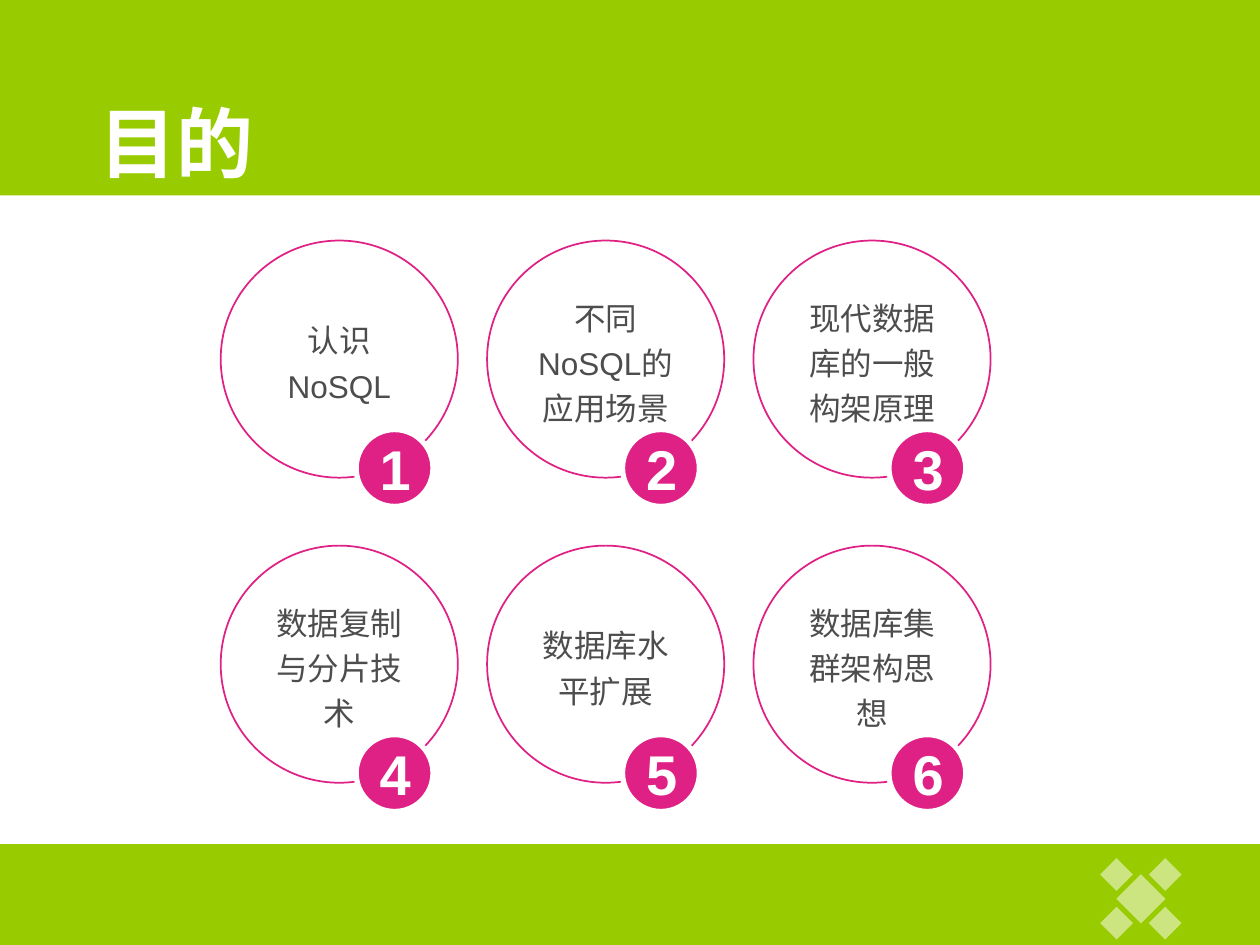
import dataclasses

import lxml.etree
import pptx
import pptx.dml.color
import pptx.enum.shapes
import pptx.enum.text
import pptx.oxml.ns
import pptx.util

Cm = pptx.util.Cm
RGBColor = pptx.dml.color.RGBColor
Kind = pptx.enum.shapes.MSO_SHAPE

GREEN = RGBColor(0x99, 0xCC, 0x00)
PINK = RGBColor(0xDF, 0x21, 0x85)
GREY = RGBColor(0x4D, 0x4D, 0x4D)
WHITE = RGBColor(0xFF, 0xFF, 0xFF)
FONT = "Arial"

SLIDE_WIDTH, SLIDE_HEIGHT = 25.4, 19.05
COLUMNS = 3
GOALS_LEFT, GOALS_TOP = 4.45, 4.85
COLUMN_STEP, ROW_STEP = 5.37, 6.15
CIRCLE_SIZE, BADGE_SIZE = 4.78, 1.55
BADGE_DX, BADGE_DY = 2.73, 3.81
EMBLEM_X, EMBLEM_Y, EMBLEM_STEP = 23.0, 18.12, 0.49


@dataclasses.dataclass(frozen=True)
class Area:
    left: float
    top: float
    width: float
    height: float

    def lengths(self) -> tuple:
        return Cm(self.left), Cm(self.top), Cm(self.width), Cm(self.height)


@dataclasses.dataclass(frozen=True)
class Style:
    size: int
    color: RGBColor
    bold: bool = False
    spacing: float = 1.0


TITLE_STYLE = Style(44, WHITE, bold=True)
GOAL_STYLE = Style(18, GREY, spacing=1.2)
BADGE_STYLE = Style(32, WHITE, bold=True)

BANDS = [Area(0, 0, SLIDE_WIDTH, 3.94), Area(0, 17.02, SLIDE_WIDTH, 2.03)]
GOALS = [
    "认识NoSQL",
    "不同NoSQL的应用场景",
    "现代数据库的一般构架原理",
    "数据复制与分片技术",
    "数据库水平扩展",
    "数据库集群架构思想",
]


def add_shape(slide, kind, area: Area, fill=None, line=None, line_width: float = 1):
    shape = slide.shapes.add_shape(kind, *area.lengths())
    shape.shadow.inherit = False
    if fill is None:
        shape.fill.background()
    else:
        shape.fill.solid()
        shape.fill.fore_color.rgb = fill
    if line is None:
        shape.line.fill.background()
    else:
        shape.line.color.rgb = line
        shape.line.width = pptx.util.Pt(line_width)
    return shape


def write_text(shape, text: str, style: Style, alignment) -> None:
    box = shape.text_frame
    box.word_wrap = True
    box.auto_size = pptx.enum.text.MSO_AUTO_SIZE.NONE
    box.vertical_anchor = pptx.enum.text.MSO_ANCHOR.MIDDLE
    para = box.paragraphs[0]
    para.alignment = alignment
    para.line_spacing = style.spacing
    span = para.add_run()
    span.text = text
    span.font.name = FONT
    span.font.size = pptx.util.Pt(style.size)
    span.font.bold = style.bold
    span.font.color.rgb = style.color


def add_emblem_diamond(slide, center_x: float, center_y: float, size: float) -> None:
    area = Area(center_x - size / 2, center_y - size / 2, size, size)
    diamond = add_shape(slide, Kind.DIAMOND, area, fill=WHITE)
    qn = pptx.oxml.ns.qn
    color = diamond.element.spPr.find(qn("a:solidFill")).find(qn("a:srgbClr"))
    lxml.etree.SubElement(color, qn("a:alpha"), val="50000")


def add_emblem(slide) -> None:
    add_emblem_diamond(slide, EMBLEM_X, EMBLEM_Y, 0.99)
    for row in (1, -1):
        for column in (-1, 1):
            add_emblem_diamond(
                slide, EMBLEM_X + column * EMBLEM_STEP, EMBLEM_Y + row * EMBLEM_STEP, 0.66
            )


def add_title(slide, text: str) -> None:
    title = slide.shapes.title
    title.left, title.top, title.width, title.height = Area(1.75, 1.02, 21.92, 3.68).lengths()
    write_text(title, text, TITLE_STYLE, pptx.enum.text.PP_ALIGN.LEFT)
    title.element.getparent().append(title.element)


def add_goal(slide, index: int, text: str) -> None:
    row, column = divmod(index, COLUMNS)
    left = GOALS_LEFT + column * COLUMN_STEP
    top = GOALS_TOP + row * ROW_STEP
    center = pptx.enum.text.PP_ALIGN.CENTER
    circle = add_shape(slide, Kind.OVAL, Area(left, top, CIRCLE_SIZE, CIRCLE_SIZE), line=PINK)
    write_text(circle, text, GOAL_STYLE, center)
    badge_area = Area(left + BADGE_DX, top + BADGE_DY, BADGE_SIZE, BADGE_SIZE)
    badge = add_shape(slide, Kind.OVAL, badge_area, fill=PINK, line=WHITE, line_width=3)
    write_text(badge, str(index + 1), BADGE_STYLE, center)


def main() -> None:
    deck = pptx.Presentation()
    deck.slide_width, deck.slide_height = Cm(SLIDE_WIDTH), Cm(SLIDE_HEIGHT)
    slide = deck.slides.add_slide(deck.slide_layouts.get_by_name("Title Only"))
    for band in BANDS:
        add_shape(slide, Kind.RECTANGLE, band, fill=GREEN)
    add_emblem(slide)
    add_title(slide, "目的")
    for index, text in enumerate(GOALS):
        add_goal(slide, index, text)
    deck.save("out.pptx")


if __name__ == "__main__":
    main()
